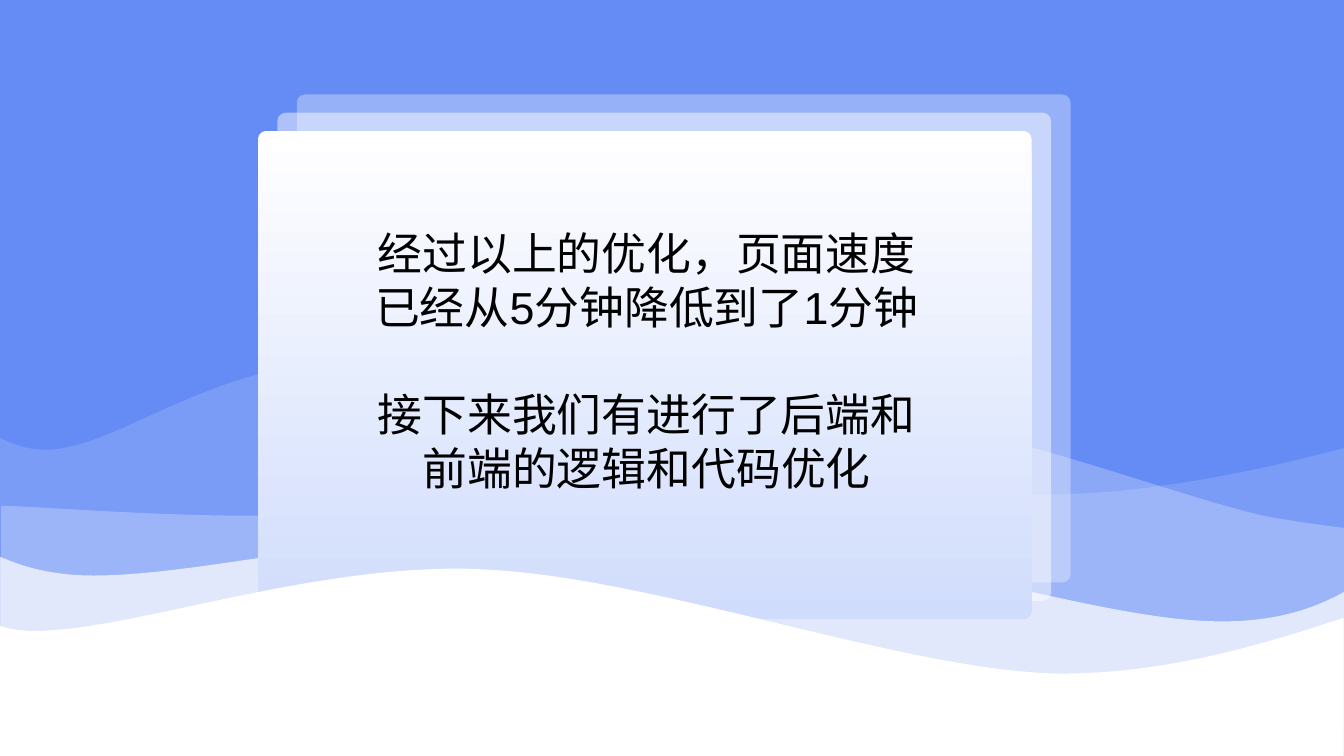
from dataclasses import dataclass

from lxml import etree
from pptx import Presentation
from pptx.dml.color import RGBColor
from pptx.enum.shapes import MSO_SHAPE
from pptx.enum.text import MSO_AUTO_SIZE, PP_ALIGN
from pptx.oxml.ns import qn
from pptx.util import Cm, Pt

ROUNDED = MSO_SHAPE.ROUNDED_RECTANGLE
CENTER = PP_ALIGN.CENTER
GROW = MSO_AUTO_SIZE.SHAPE_TO_FIT_TEXT
BLANK_LAYOUT = 6


@dataclass(frozen=True)
class Theme:
    sky: RGBColor = RGBColor(0x65, 0x8B, 0xF5)
    white: RGBColor = RGBColor(0xFF, 0xFF, 0xFF)
    card_foot: RGBColor = RGBColor(0xD0, 0xDC, 0xFC)
    ink: RGBColor = RGBColor(0, 0, 0)
    font: str = "Arial"
    statement_size: Pt = Pt(32)
    statement_gap: Pt = Pt(38.5)


THEME = Theme()


@dataclass(frozen=True)
class Box:
    left: int
    top: int
    width: int
    height: int


@dataclass(frozen=True)
class Wave:
    """Contour in cm: left edge, chained Bezier points, right edge."""
    opacity: int
    bottom: float
    left_edge: tuple
    crest: tuple
    right_edge: tuple


FAR_WAVE = Wave(
    15, 18.36, (-0.05, 11.02),
    ((0.25, 11.15), (0.61, 11.3), (1.07, 11.4), (1.65, 11.28),
     (3.4, 10.95), (5.56, 9.12), (9.07, 9.07),
     (9.3, 9.07), (9.53, 9.07), (9.78, 9.07),
     (13.69, 9.27), (21.03, 12.09), (25.17, 12.42),
     (28.3, 12.67), (32.13, 11.76), (33.83, 11.3)),
    (33.93, 11.28))
MIDDLE_WAVE = Wave(
    25, 18.97, (0.03, 12.75),
    ((0.23, 12.75), (2.16, 12.83), (6.48, 13.21), (9.7, 12.83),
     (13.18, 12.45), (16.89, 10.29), (20.62, 10.31),
     (24.33, 10.36), (29.54, 12.52), (32, 13.03),
     (32.61, 13.13), (33.12, 13.21), (33.55, 13.26)),
    (33.93, 13.31))
NEAR_WAVE = Wave(
    70, 19.05, (-0.03, 14.02),
    ((0.1, 14.07), (0.71, 14.33), (1.5, 14.53), (2.57, 14.5),
     (5.44, 14.45), (10.8, 13.11), (15.27, 13.11),
     (15.57, 13.11), (15.88, 13.11), (16.15, 13.11),
     (20.8, 13.31), (27.2, 15.54), (30.43, 15.65),
     (32.05, 15.72), (33.12, 15.34), (33.88, 14.91)),
    (33.88, 14.91))
FOAM_WAVE = Wave(
    100, 19.05, (-0.03, 15.77),
    ((0.28, 15.85), (0.48, 15.88), (0.66, 15.9), (0.89, 15.9),
     (3.25, 15.88), (7.34, 14.38), (11.35, 14.33),
     (11.63, 14.33), (11.89, 14.33), (12.17, 14.35),
     (16.43, 14.53), (22.61, 16.84), (26.52, 16.97),
     (28.98, 17.02), (31.34, 16.38), (33.15, 15.8)),
    (33.86, 15.57))

STATEMENTS = (
    "经过以上的优化，页面速度已经从5分钟降低到了1分钟",
    "接下来我们有进行了后端和前端的逻辑和代码优化",
)


def paint_white(shape, opacity):
    """Fill with white at the given opacity in percent, without outline or shadow."""
    shape.shadow.inherit = False
    shape.line.fill.background()
    shape.fill.solid()
    shape.fill.fore_color.rgb = THEME.white
    if opacity < 100:
        color = shape.fill._xPr.find(qn("a:solidFill"))[0]
        etree.SubElement(color, qn("a:alpha")).set("val", str(opacity * 1000))


def bend_crest(shape, crest):
    """Turn each three line segments after the crest's start into one cubic curve."""
    segments = list(shape.element.iter(qn("a:lnTo")))[1:len(crest)]
    for first in range(0, len(segments), 3):
        pull_out, pull_in, end = segments[first:first + 3]
        curve = etree.Element(qn("a:cubicBezTo"))
        pull_out.addprevious(curve)
        for segment in (pull_out, pull_in, end):
            curve.append(segment[0])
            segment.getparent().remove(segment)


def add_wave(slide, box, wave):
    outline = [
        wave.left_edge, *wave.crest, wave.right_edge,
        (wave.right_edge[0], wave.bottom), (wave.left_edge[0], wave.bottom),
    ]
    start, *rest = [(box.left + Cm(x), box.top + Cm(y)) for x, y in outline]
    builder = slide.shapes.build_freeform(*start)
    builder.add_line_segments(rest, close=True)
    shape = builder.convert_to_shape()
    bend_crest(shape, wave.crest)
    paint_white(shape, wave.opacity)


def add_card_stack(slide, box):
    """Front card fills the box; the others peek out above and to the right."""
    stack = slide.shapes.add_group_shape()
    for depth, opacity in ((2, 33), (1, 48), (0, 100)):
        card = stack.shapes.add_shape(
            ROUNDED, box.left + depth * Cm(0.49), box.top - depth * Cm(0.46),
            box.width, box.height)
        card.adjustments[0] = 0.017
        paint_white(card, opacity)
    card.fill.gradient()
    card.fill.gradient_angle = 270
    head, foot = card.fill.gradient_stops
    head.color.rgb, foot.color.rgb = THEME.white, THEME.card_foot


def add_statements(slide, box):
    frame = slide.shapes.add_textbox(
        box.left, box.top, box.width, box.height).text_frame
    frame.word_wrap = True
    frame.auto_size = GROW
    for index, statement in enumerate(STATEMENTS):
        paragraph = frame.add_paragraph() if index else frame.paragraphs[0]
        paragraph.alignment = CENTER
        if index:
            paragraph.space_before = THEME.statement_gap
        run = paragraph.add_run()
        run.text = statement
        run.font.name = THEME.font
        run.font.size = THEME.statement_size
        run.font.color.rgb = THEME.ink


def build_statement_slide(deck, box):
    slide = deck.slides.add_slide(deck.slide_layouts[BLANK_LAYOUT])
    slide.background.fill.solid()
    slide.background.fill.fore_color.rgb = THEME.sky
    for wave in (FAR_WAVE, MIDDLE_WAVE, NEAR_WAVE):
        add_wave(slide, box, wave)
    add_card_stack(slide, Box(box.left + Cm(6.5), box.top + Cm(3.3),
                              Cm(19.5), Cm(12.3)))
    add_wave(slide, box, FOAM_WAVE)
    add_statements(slide, Box(box.left + Cm(9.01), box.top + Cm(5.56),
                              Cm(14.58), Cm(7.09)))


def main():
    deck = Presentation()
    deck.slide_width, deck.slide_height = Cm(33.87), Cm(19.05)
    build_statement_slide(deck, Box(0, 0, deck.slide_width, deck.slide_height))
    deck.save("out.pptx")


if __name__ == "__main__":
    main()
